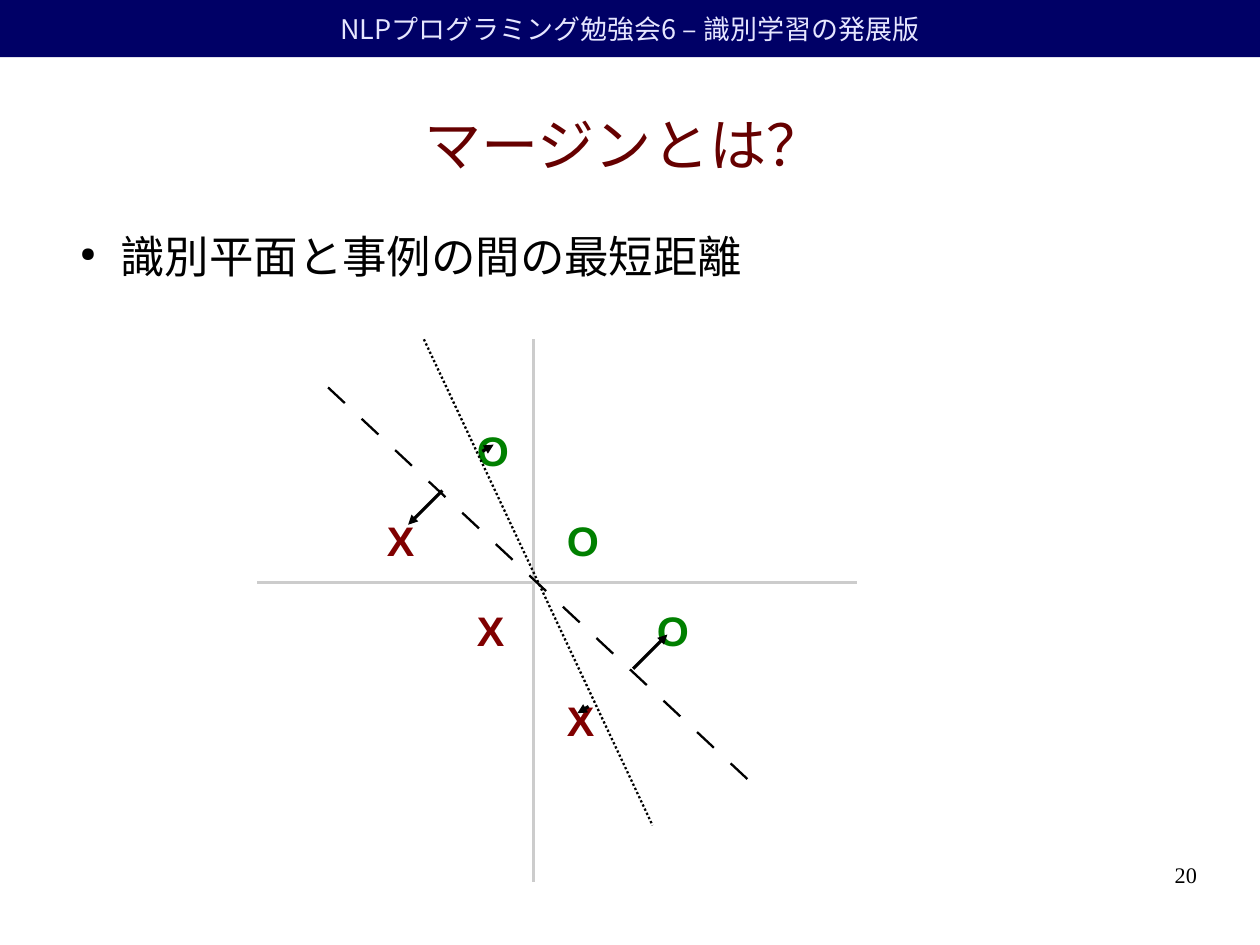
from dataclasses import dataclass

from pptx import Presentation
from pptx.dml.color import RGBColor
from pptx.enum.dml import MSO_LINE
from pptx.enum.shapes import MSO_CONNECTOR, MSO_SHAPE
from pptx.enum.text import MSO_ANCHOR as ANCHOR, MSO_AUTO_SIZE as AUTO, PP_ALIGN as ALIGN
from pptx.oxml.ns import qn
from pptx.util import Cm, Pt
from lxml.etree import SubElement


@dataclass(frozen=True)
class Theme:
    navy: str = "000066"
    pale: str = "E6E6FF"
    maroon: str = "660000"
    black: str = "000000"
    gray: str = "CCCCCC"
    green: str = "008000"
    red: str = "800000"
    header_size: int = 17
    title_size: int = 36
    body_size: int = 28
    mark_size: int = 26
    number_size: int = 14
    sans: str = "Arial"
    serif: str = "Times New Roman"
    japanese: str = "Noto Sans CJK JP"
    rule_width: float = 1.45
    bullet_scale: int = 45


def rgb(code):
    return RGBColor.from_string(code)


def write(tf, text, *, size, color, font, east=None, bold=False, align=ALIGN.LEFT,
          anchor=ANCHOR.TOP, inset=(0, 0), wrap=True):
    """Put one formatted paragraph in a text frame and return it."""
    tf.word_wrap = wrap
    tf.vertical_anchor = anchor
    tf.margin_left = tf.margin_right = Cm(inset[0])
    tf.margin_top = tf.margin_bottom = Cm(inset[1])
    p = tf.paragraphs[0]
    p.alignment = align
    r = p.add_run()
    r.text = text
    r.font.size, r.font.name, r.font.bold = Pt(size), font, bold
    r.font.color.rgb = rgb(color)
    if east:
        SubElement(r.font._element, qn("a:ea"), typeface=east)
    return p


class Deck:
    def __init__(self, theme, width, height):
        self.theme = theme
        self.prs = Presentation()
        self.prs.slide_width, self.prs.slide_height = Cm(width), Cm(height)
        self.s = self.prs.slides.add_slide(self.prs.slide_layouts[6])

    def band(self, box, text, fill, **fmt):
        sp = self.s.shapes.add_shape(MSO_SHAPE.RECTANGLE, *map(Cm, box))
        sp.shadow.inherit = False
        sp.fill.solid()
        sp.fill.fore_color.rgb = rgb(fill)
        sp.line.fill.background()
        write(sp.text_frame, text, **fmt)

    def text(self, box, text, **fmt):
        sp = self.s.shapes.add_textbox(*map(Cm, box))
        return write(sp.text_frame, text, **fmt)

    def bullet(self, box, text, **fmt):
        p = self.text(box, text, **fmt)
        p.space_after = Pt(14.2)
        pPr = p._p.get_or_add_pPr()
        pPr.set("marL", str(Cm(1.2)))
        pPr.set("indent", str(-Cm(0.9)))
        color = SubElement(pPr, qn("a:buClr"))
        SubElement(color, qn("a:srgbClr"), val=fmt["color"])
        SubElement(pPr, qn("a:buSzPct"), val=str(self.theme.bullet_scale * 1000))
        SubElement(pPr, qn("a:buChar"), char="●")

    def mark(self, left, top, letter, color):
        t = self.theme
        sp = self.s.shapes.add_textbox(Cm(left), Cm(top), Cm(1.2), Cm(1.27))
        write(sp.text_frame, letter, size=t.mark_size, color=color, font=t.sans,
              bold=True, inset=(0.25, 0.13), wrap=False)
        sp.text_frame.auto_size = AUTO.SHAPE_TO_FIT_TEXT

    def line(self, start, end, color, width=0, dotted=False, dash=0, arrow=False):
        cx = self.s.shapes.add_connector(MSO_CONNECTOR.STRAIGHT, *map(Cm, start + end))
        cx.line.color.rgb = rgb(color)
        cx.line.width = Pt(width)
        ln = cx.line._get_or_add_ln()
        if dotted:
            cx.line.dash_style = MSO_LINE.ROUND_DOT
        if dash:  # dash and gap, in line widths
            pattern = SubElement(ln, qn("a:custDash"))
            SubElement(pattern, qn("a:ds"), d=str(dash * 100000), sp=str(dash * 100000))
        if arrow:
            SubElement(ln, qn("a:tailEnd"), type="triangle")
        SubElement(cx._element.spPr, qn("a:effectLst"))


def main():
    t = Theme()
    deck = Deck(t, 28, 21)

    # Header, title and bullet
    deck.band((0, 0, 28, 1.27), "NLPプログラミング勉強会6 – 識別学習の発展版", t.navy,
              size=t.header_size, color=t.pale, font=t.japanese, east=t.japanese,
              align=ALIGN.CENTER, anchor=ANCHOR.MIDDLE, inset=(0.25, 0.13))
    deck.text((1.27, 1.58, 25.2, 3.23), "マージンとは？", size=t.title_size, color=t.maroon,
              font=t.sans, east=t.japanese, align=ALIGN.CENTER, anchor=ANCHOR.MIDDLE)
    deck.bullet((1.48, 5.08, 25.2, 13.87), "識別平面と事例の間の最短距離", size=t.body_size,
                color=t.black, font=t.sans, east=t.japanese)

    # Examples: each class lies on a diagonal of a 2 cm grid
    left, top, step = 8.35, 9.32, 2
    for i in range(3):
        deck.mark(left + (i + 1) * step, top + i * step, "O", t.green)
        deck.mark(left + i * step, top + (i + 1) * step, "X", t.red)

    # Axes
    deck.line((11.86, 7.54), (11.86, 19.61), t.gray)
    deck.line((5.72, 12.95), (19.05, 12.95), t.gray)

    # Separating planes
    deck.line((9.42, 7.54), (14.5, 18.34), t.black, t.rule_width, dotted=True)
    deck.line((7.29, 8.61), (16.81, 17.5), t.black, t.rule_width, dash=10)

    # Margins from the planes to the nearest examples
    margins = [((9.83, 10.9), (9.07, 11.66)), ((14.07, 14.86), (14.83, 14.1)),
               ((10.72, 10.03), (10.97, 9.88)), ((13.08, 15.7), (12.83, 15.85))]
    for start, end in margins:
        deck.line(start, end, t.black, arrow=True)

    # Page number
    deck.text((20.07, 19.13, 6.53, 1.45), "20", size=t.number_size, color=t.black,
              font=t.serif, align=ALIGN.RIGHT)

    deck.prs.save("out.pptx")


if __name__ == "__main__":
    main()
